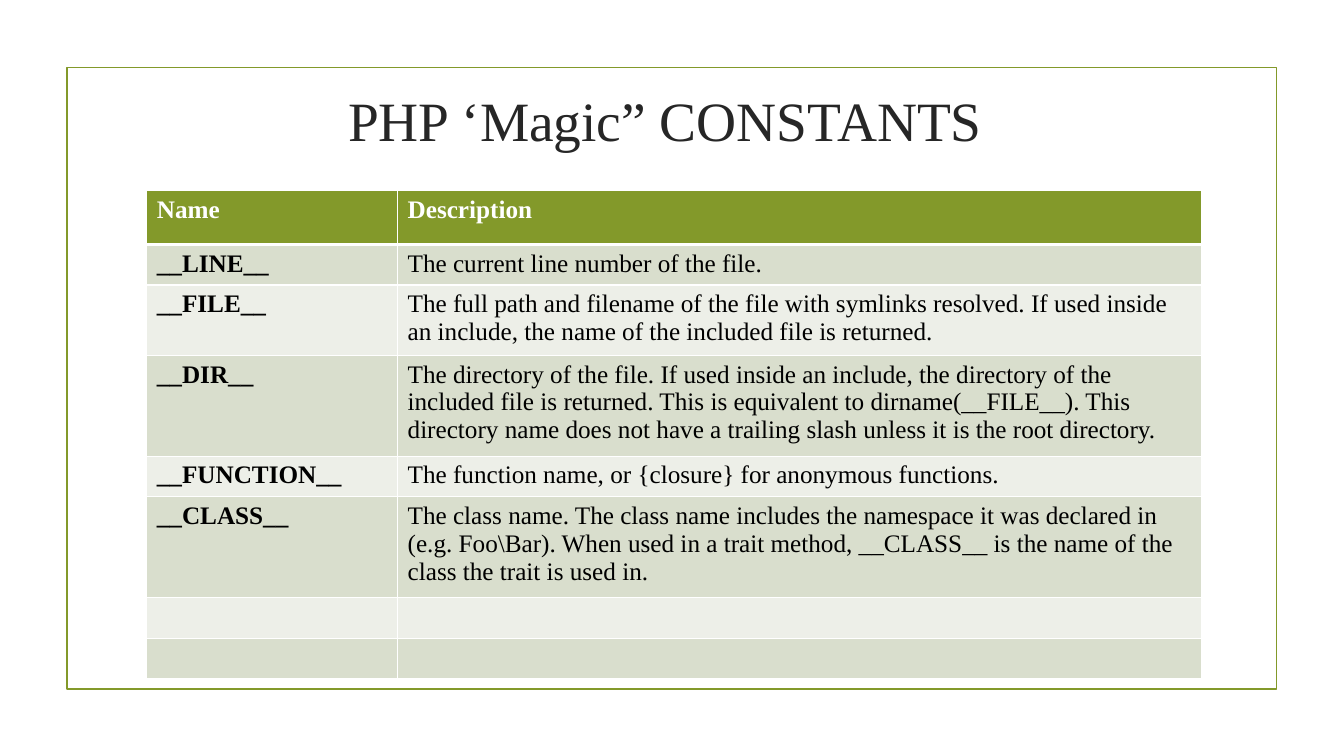
"""Build the slide listing the PHP magic constants."""
import lxml.etree
import pptx
import pptx.dml.color
import pptx.enum.shapes
import pptx.enum.text
import pptx.oxml.ns
import pptx.util

Cm = pptx.util.Cm
Pt = pptx.util.Pt

TITLE = "PHP ‘Magic” CONSTANTS"
CONSTANTS = [
    ("Name", "Description"),
    ("__LINE__", "The current line number of the file."),
    ("__FILE__", "The full path and filename of the file with symlinks resolved. "
     "If used inside an include, the name of the included file is returned."),
    ("__DIR__", "The directory of the file. If used inside an include, the directory "
     "of the included file is returned. This is equivalent to dirname(__FILE__). "
     "This directory name does not have a trailing slash unless it is the root directory."),
    ("__FUNCTION__", "The function name, or {closure} for anonymous functions."),
    ("__CLASS__", "The class name. The class name includes the namespace it was declared in "
     "(e.g. Foo\\Bar). When used in a trait method, __CLASS__ is the name of the class "
     "the trait is used in."),
    ("", ""),
    ("", ""),
]
ROW_LINES = [0, 1, 2, 3, 1, 3, 1, 1]
LINE_COUNT_HEIGHTS = {0: 1.35, 1: 1.02, 2: 1.76, 3: 2.53}
COLUMN_WIDTHS = [6.32, 20.27]
FONT = "Times New Roman"
COLOURS = {
    "olive": "83992A",
    "title": "262626",
    "text": "000000",
    "white": "FFFFFF",
    "odd": "D9DECD",
    "even": "EDEFE8",
}


def rgb(name):
    return pptx.dml.color.RGBColor.from_string(COLOURS[name])


def style(paragraph, size, colour, bold=False):
    paragraph.font.name = FONT
    paragraph.font.size = Pt(size)
    paragraph.font.bold = bold
    paragraph.font.color.rgb = rgb(colour)


def add_borders(cell, widths):
    properties = cell._tc.get_or_add_tcPr()
    for place, (side, width) in enumerate(widths.items()):
        border = lxml.etree.Element(pptx.oxml.ns.qn(f"a:ln{side}"), w=str(Pt(width)))
        fill = lxml.etree.SubElement(border, pptx.oxml.ns.qn("a:solidFill"))
        lxml.etree.SubElement(fill, pptx.oxml.ns.qn("a:srgbClr"), val=COLOURS["white"])
        properties.insert(place, border)


def add_frame(slide):
    frame = slide.shapes.add_shape(
        pptx.enum.shapes.MSO_SHAPE.RECTANGLE, Cm(1.69), Cm(1.7), Cm(30.48), Cm(15.67))
    frame.shadow.inherit = False
    frame.fill.background()
    frame.line.color.rgb = rgb("olive")
    frame.line.width = Pt(1.25)


def add_title(slide):
    title = slide.shapes.add_textbox(Cm(3.43), Cm(1.98), Cm(26.67), Cm(2.03)).text_frame
    title.word_wrap = True
    title.vertical_anchor = pptx.enum.text.MSO_ANCHOR.MIDDLE
    title.text = TITLE
    title.paragraphs[0].alignment = pptx.enum.text.PP_ALIGN.CENTER
    style(title.paragraphs[0], 39.6, "title")


def add_constants(slide):
    heights = [LINE_COUNT_HEIGHTS[lines] for lines in ROW_LINES]
    table = slide.shapes.add_table(
        len(CONSTANTS), len(COLUMN_WIDTHS), Cm(3.7), Cm(4.81),
        Cm(sum(COLUMN_WIDTHS)), Cm(sum(heights))).table
    for column, width in zip(table.columns, COLUMN_WIDTHS):
        column.width = Cm(width)
    for row, (height, texts) in enumerate(zip(heights, CONSTANTS)):
        table.rows[row].height = Cm(height)
        header = row == 0
        background = "olive" if header else ("even", "odd")[row % 2]
        for column, text in enumerate(texts):
            cell = table.cell(row, column)
            cell.text = text
            cell.fill.solid()
            cell.fill.fore_color.rgb = rgb(background)
            style(cell.text_frame.paragraphs[0], 18, "white" if header else "text",
                  bold=header or column == 0)
            add_borders(cell, {"L": 1, "R": 1, "T": 3 if row == 1 else 1,
                               "B": 3 if header else 1})


def main():
    presentation = pptx.Presentation()
    presentation.slide_width = Cm(33.87)
    presentation.slide_height = Cm(19.05)
    slide = presentation.slides.add_slide(presentation.slide_layouts[6])
    add_frame(slide)
    add_title(slide)
    add_constants(slide)
    presentation.save("out.pptx")


if __name__ == "__main__":
    main()
